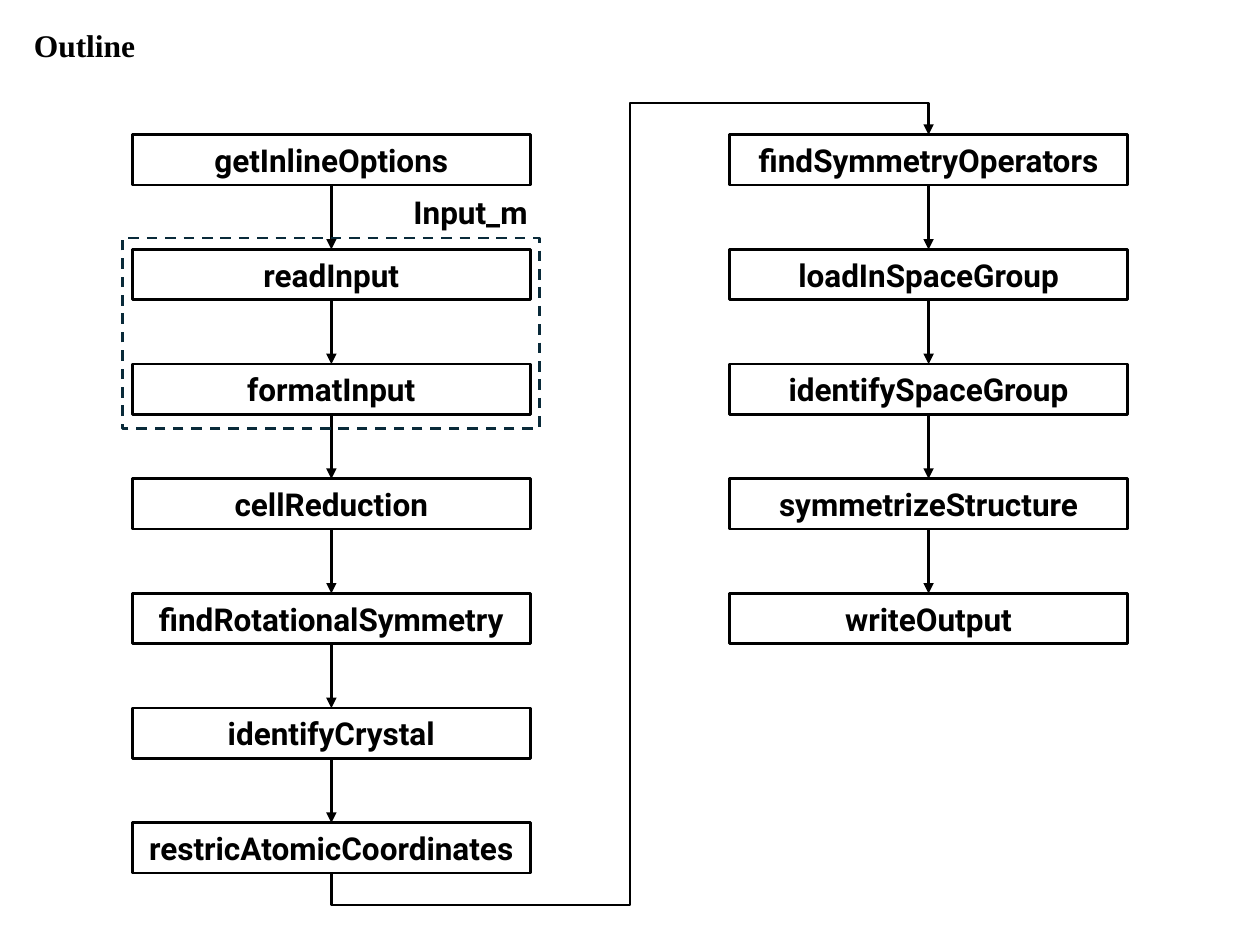
import dataclasses
import itertools

import lxml.etree
import pptx
import pptx.dml.color
import pptx.enum.dml
import pptx.enum.shapes
import pptx.enum.text
import pptx.oxml.ns
import pptx.util

Inches = pptx.util.Inches
qn = pptx.oxml.ns.qn
Align = pptx.enum.text.PP_ALIGN
Connector = pptx.enum.shapes.MSO_CONNECTOR
RECTANGLE = pptx.enum.shapes.MSO_SHAPE.RECTANGLE
TOP_SITE, BOTTOM_SITE = 0, 2


@dataclasses.dataclass(frozen=True)
class Theme:
    ink: str = "000000"
    frame: str = "092A39"
    title_font: str = "Times New Roman"
    label_font: str = "Roboto"
    text_size: float = 18
    line_width: float = 1.5


class FlowPage:
    """The theme and the current slide, with a method for each kind of element."""

    def __init__(self, deck, theme):
        self.theme = theme
        self.shapes = deck.slides.add_slide(deck.slide_layouts[6]).shapes

    def set_text(self, shape, text, font_name, align):
        frame = shape.text_frame
        frame.word_wrap = True
        frame.auto_size = pptx.enum.text.MSO_AUTO_SIZE.SHAPE_TO_FIT_TEXT
        para = frame.paragraphs[0]
        para.alignment = align
        span = para.add_run()
        span.text = text
        look = {"name": font_name, "bold": True,
                "size": pptx.util.Pt(self.theme.text_size)}
        for key, value in look.items():
            setattr(span.font, key, value)
        span.font.color.rgb = pptx.dml.color.RGBColor.from_string(self.theme.ink)

    def draw_line(self, line, color):
        line.color.rgb = pptx.dml.color.RGBColor.from_string(color)
        line.width = pptx.util.Pt(self.theme.line_width)

    def text(self, text, left, top, width, height, font_name, align=Align.LEFT):
        box = self.shapes.add_textbox(*map(Inches, (left, top, width, height)))
        self.set_text(box, text, font_name, align)

    def outline(self, left, top, width, height, color):
        box = self.shapes.add_shape(RECTANGLE, *map(Inches, (left, top, width, height)))
        box.shadow.inherit = False
        box.fill.background()
        self.draw_line(box.line, color)
        return box

    def step(self, name, left, top, width, height):
        box = self.outline(left, top, width, height, self.theme.ink)
        self.set_text(box, name, self.theme.label_font, Align.CENTER)
        return box

    def group_frame(self, left, top, width, height):
        box = self.outline(left, top, width, height, self.theme.frame)
        box.line.dash_style = pptx.enum.dml.MSO_LINE.DASH

    def arrow(self, source, target, kind=Connector.STRAIGHT):
        """Join the bottom of one box to the top of another."""
        link = self.shapes.add_connector(kind, 0, 0, 0, 0)
        link.begin_connect(source, BOTTOM_SITE)
        link.end_connect(target, TOP_SITE)
        self.draw_line(link.line, self.theme.ink)
        properties = link._element.spPr
        lxml.etree.SubElement(properties.find(qn("a:ln")), qn("a:tailEnd"), type="triangle")
        lxml.etree.SubElement(properties, qn("a:effectLst"))
        return link

    def wrap_arrow(self, source, target, overshoot):
        """Run from the foot of one column over to the head of the next."""
        link = self.arrow(source, target, Connector.ELBOW)
        across, rise = link.width, link.height
        center_x, center_y = link.left + across // 2, link.top + rise // 2
        # The preset runs sideways, so its frame is turned and its sides swapped.
        turned = {"left": center_x - rise // 2, "top": center_y - across // 2,
                  "width": rise, "height": across}
        for key, value in turned.items():
            setattr(link, key, value)
        properties = link._element.spPr
        for key, value in {"rot": "5400000", "flipH": "1", "flipV": "1"}.items():
            properties.find(qn("a:xfrm")).set(key, value)
        geometry = properties.find(qn("a:prstGeom"))
        geometry.set("prst", "bentConnector5")
        extra = Inches(overshoot) / rise
        guides = geometry.find(qn("a:avLst"))
        for number, share in enumerate((-extra, 0.5, 1 + extra), start=1):
            lxml.etree.SubElement(guides, qn("a:gd"), name=f"adj{number}",
                                  fmla=f"val {round(share * 100000)}")


COLUMNS = {
    1.05: ["getInlineOptions", "readInput", "formatInput", "cellReduction",
           "findRotationalSymmetry", "identifyCrystal", "restricAtomicCoordinates"],
    5.79: ["findSymmetryOperators", "loadInSpaceGroup", "identifySpaceGroup",
           "symmetrizeStructure", "writeOutput"],
}
FIRST_TOP, ROW_PITCH = 1.07, 0.91
STEP_WIDTH, STEP_HEIGHT = 3.16, 0.4


def main():
    deck = pptx.Presentation()
    deck.slide_width, deck.slide_height = Inches(10), Inches(7.5)
    theme = Theme()
    page = FlowPage(deck, theme)

    page.text("Outline", 0.17, 0.16, 5.49, 0.4, theme.title_font)
    chains = []
    for left, names in COLUMNS.items():
        chain = [page.step(name, left, FIRST_TOP + row * ROW_PITCH, STEP_WIDTH, STEP_HEIGHT)
                 for row, name in enumerate(names)]
        for source, target in itertools.pairwise(chain):
            page.arrow(source, target)
        chains.append(chain)
    page.wrap_arrow(chains[0][-1], chains[1][0], overshoot=0.25)

    page.group_frame(0.97, 1.89, 3.31, 1.51)
    page.text("Input_m", 2.92, 1.48, 1.63, 0.4, theme.label_font, Align.CENTER)
    deck.save("out.pptx")


if __name__ == "__main__":
    main()
